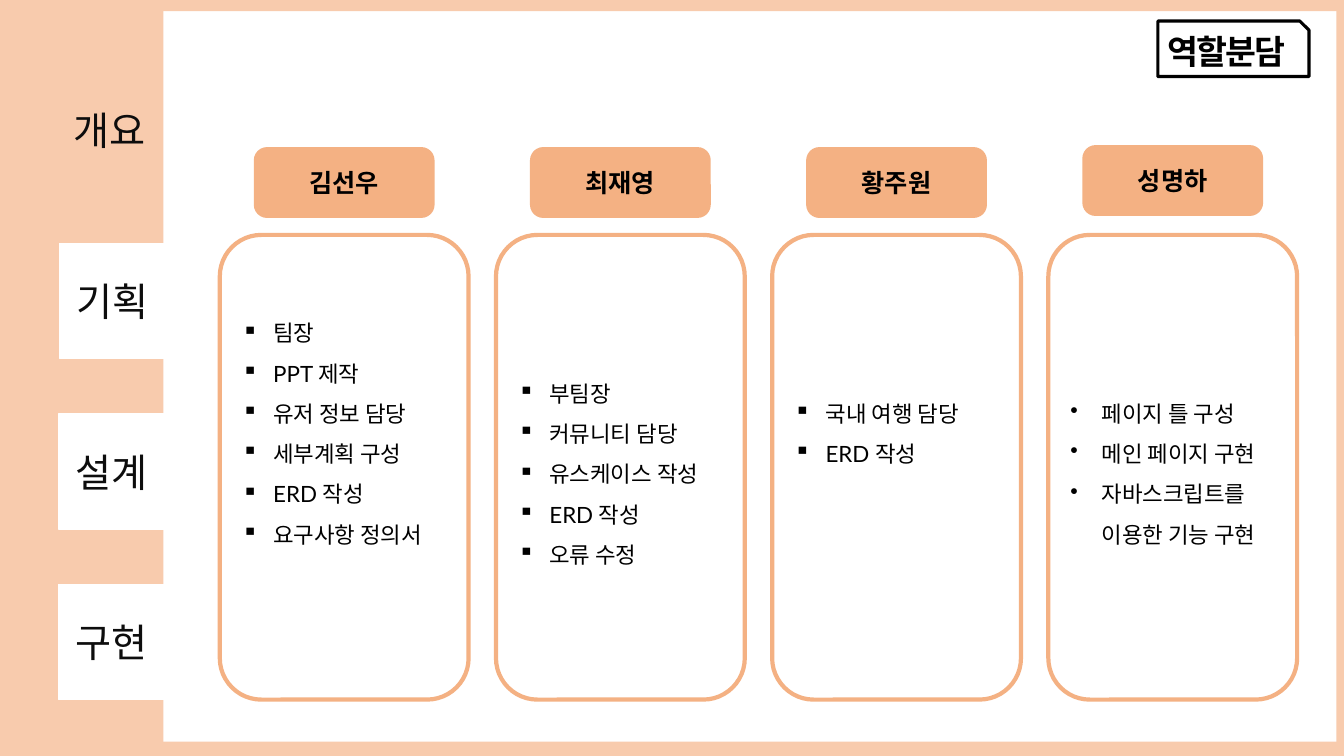
from dataclasses import dataclass

from lxml import etree
from pptx import Presentation
from pptx.dml.color import RGBColor
from pptx.enum.shapes import MSO_SHAPE
from pptx.enum.text import MSO_ANCHOR, MSO_AUTO_SIZE, PP_ALIGN
from pptx.oxml.ns import qn
from pptx.util import Cm, Pt

RECTANGLE = MSO_SHAPE.RECTANGLE
ROUNDED = MSO_SHAPE.ROUNDED_RECTANGLE
SNIPPED = MSO_SHAPE.SNIP_1_RECTANGLE
MIDDLE, TOP = MSO_ANCHOR.MIDDLE, MSO_ANCHOR.TOP
CENTER, LEFT = PP_ALIGN.CENTER, PP_ALIGN.LEFT
GROW = MSO_AUTO_SIZE.SHAPE_TO_FIT_TEXT


@dataclass(frozen=True)
class Theme:
    peach: RGBColor = RGBColor(0xF8, 0xCB, 0xAD)
    orange: RGBColor = RGBColor(0xF4, 0xB1, 0x83)
    white: RGBColor = RGBColor(0xFF, 0xFF, 0xFF)
    black: RGBColor = RGBColor(0x00, 0x00, 0x00)
    ink: RGBColor = RGBColor(0x0D, 0x0D, 0x0D)
    korean: str = "Noto Sans CJK KR"
    latin: str = "Lato"
    tab_size: int = 28
    title_size: int = 24
    name_size: int = 18
    task_size: int = 16


theme = Theme()
presentation = Presentation()
presentation.slide_width = Cm(33.87)
presentation.slide_height = Cm(19.05)
slide = presentation.slides.add_slide(presentation.slide_layouts[6])


def add_box(kind, left, top, width, height, fill=None, line=None, weight=1):
    shape = slide.shapes.add_shape(kind, Cm(left), Cm(top), Cm(width), Cm(height))
    shape.shadow.inherit = False
    if fill is None:
        shape.fill.background()
    else:
        shape.fill.solid()
        shape.fill.fore_color.rgb = fill
    if line is None:
        shape.line.fill.background()
    else:
        shape.line.color.rgb = line
        shape.line.width = Pt(weight)
    return shape


def write_text(shape, text, size, color, font=theme.korean, bold=False,
               align=CENTER, anchor=MIDDLE):
    frame = shape.text_frame
    frame.text = text
    frame.word_wrap = True
    frame.vertical_anchor = anchor
    for paragraph in frame.paragraphs:
        paragraph.alignment = align
        for run in paragraph.runs:
            run.font.size = Pt(size)
            run.font.bold = bold
            run.font.color.rgb = color
            run.font.name = font
            east_asian = etree.SubElement(run.font._element, qn("a:ea"))
            east_asian.set("typeface", theme.korean)
    return frame


add_box(RECTANGLE, 0, 0, 3.84, 19.05, theme.peach, theme.peach)
for left, top, width, height in [
    (3.84, 0, 30.03, 0.28),
    (33.68, 0, 0.19, 19.05),
    (4.09, 18.69, 29.78, 0.36),
    (3.84, 0, 0.28, 19.05),
]:
    add_box(RECTANGLE, left, top, width, height, theme.peach)

TAB_TOP, TAB_PITCH = 1.83, 4.3
for index, (label, left, fill) in enumerate([
    ("개요", 1.42, theme.peach),
    ("기획", 1.5, theme.white),
    ("설계", 1.47, theme.white),
    ("구현", 1.47, theme.white),
]):
    tab = add_box(RECTANGLE, left, TAB_TOP + index * TAB_PITCH, 2.67, 2.9, fill, fill)
    write_text(tab, label, theme.tab_size, theme.ink)

CARD_LEFT, CARD_PITCH, CARD_WIDTH = 5.54, 6.96, 6.27
NAME_WIDTH = 4.45
members = [
    ("김선우", 3.76, "▪", 2.16,
     ["팀장", "PPT 제작", "유저 정보 담당", "세부계획 구성", "ERD 작성", "요구사항 정의서"]),
    ("최재영", 3.76, "▪", 0.13,
     ["부팀장", "커뮤니티 담당", "유스케이스 작성", "ERD 작성", "오류 수정"]),
    ("황주원", 3.76, "▪", 2.16, ["국내 여행 담당", "ERD 작성"]),
    ("성명하", 3.71, "•", 0.13,
     ["페이지 틀 구성", "메인 페이지 구현", "자바스크립트를 이용한 기능 구현"]),
]
for index, (name, name_top, bullet, bottom_margin, tasks) in enumerate(members):
    left = CARD_LEFT + index * CARD_PITCH
    card = add_box(ROUNDED, left, 5.92, CARD_WIDTH, 11.71, theme.white, theme.orange, 3)
    frame = write_text(card, "\n".join(tasks), theme.task_size, theme.black,
                       theme.latin, align=LEFT)
    frame.margin_bottom = Cm(bottom_margin)
    for paragraph in frame.paragraphs:
        paragraph.line_spacing = 1.5
        properties = paragraph._p.get_or_add_pPr()
        properties.set("marL", str(Cm(0.79)))
        properties.set("indent", str(-Cm(0.79)))
        etree.SubElement(properties, qn("a:buChar")).set("char", bullet)

    name_left = left + (CARD_WIDTH - NAME_WIDTH) / 2
    name_box = add_box(ROUNDED, name_left, name_top, NAME_WIDTH, 1.68,
                       theme.orange, theme.orange, 3)
    write_text(name_box, name, theme.name_size, theme.black, bold=True)

title = add_box(SNIPPED, 29.18, 0.53, 3.81, 1.4, None, theme.black, 2.25)
title_frame = write_text(title, "역할분담", theme.title_size, theme.black,
                         bold=True, align=LEFT, anchor=TOP)
title_frame.auto_size = GROW
title_frame.paragraphs[0].runs[0].font._element.set("spc", "-150")

presentation.save("out.pptx")
